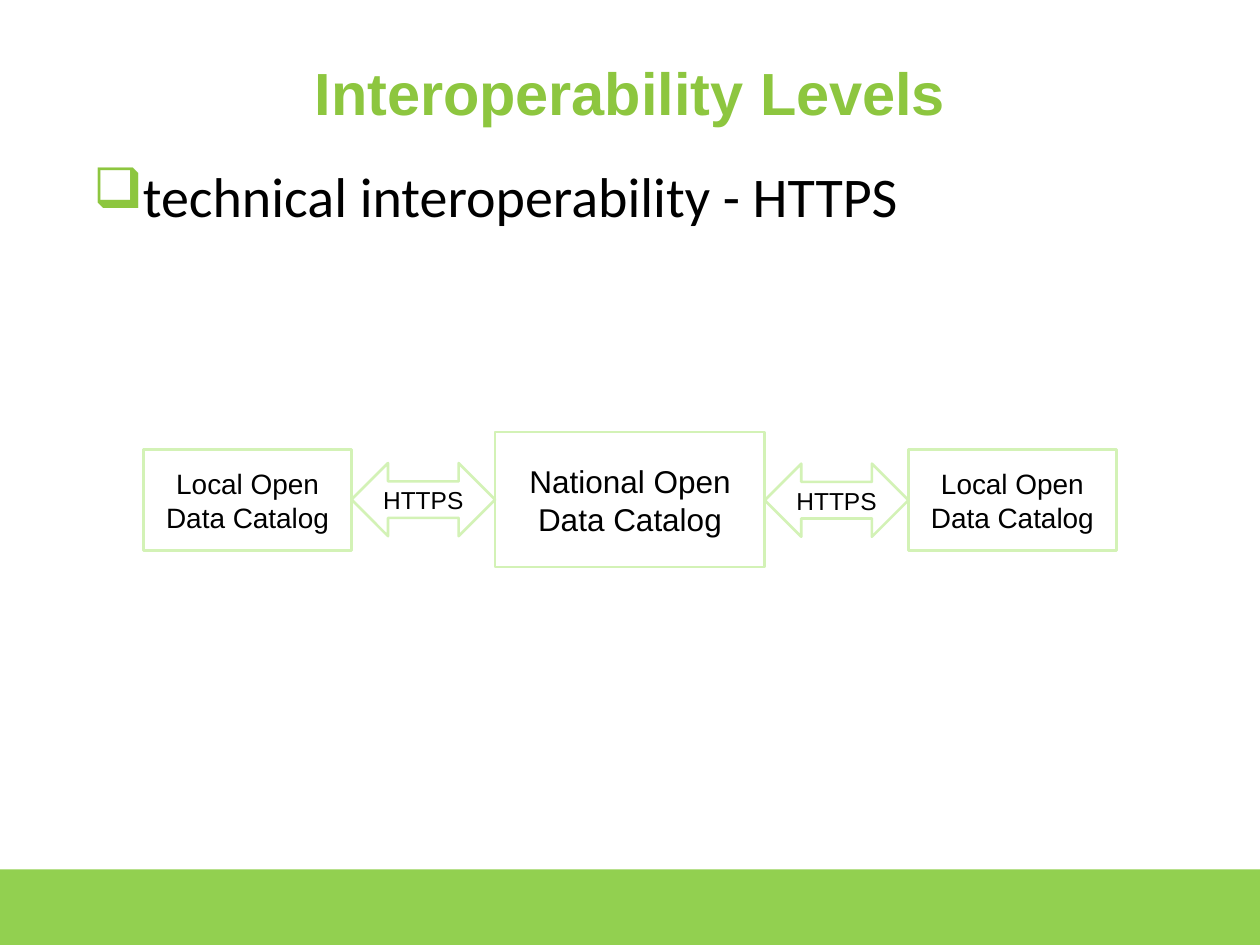
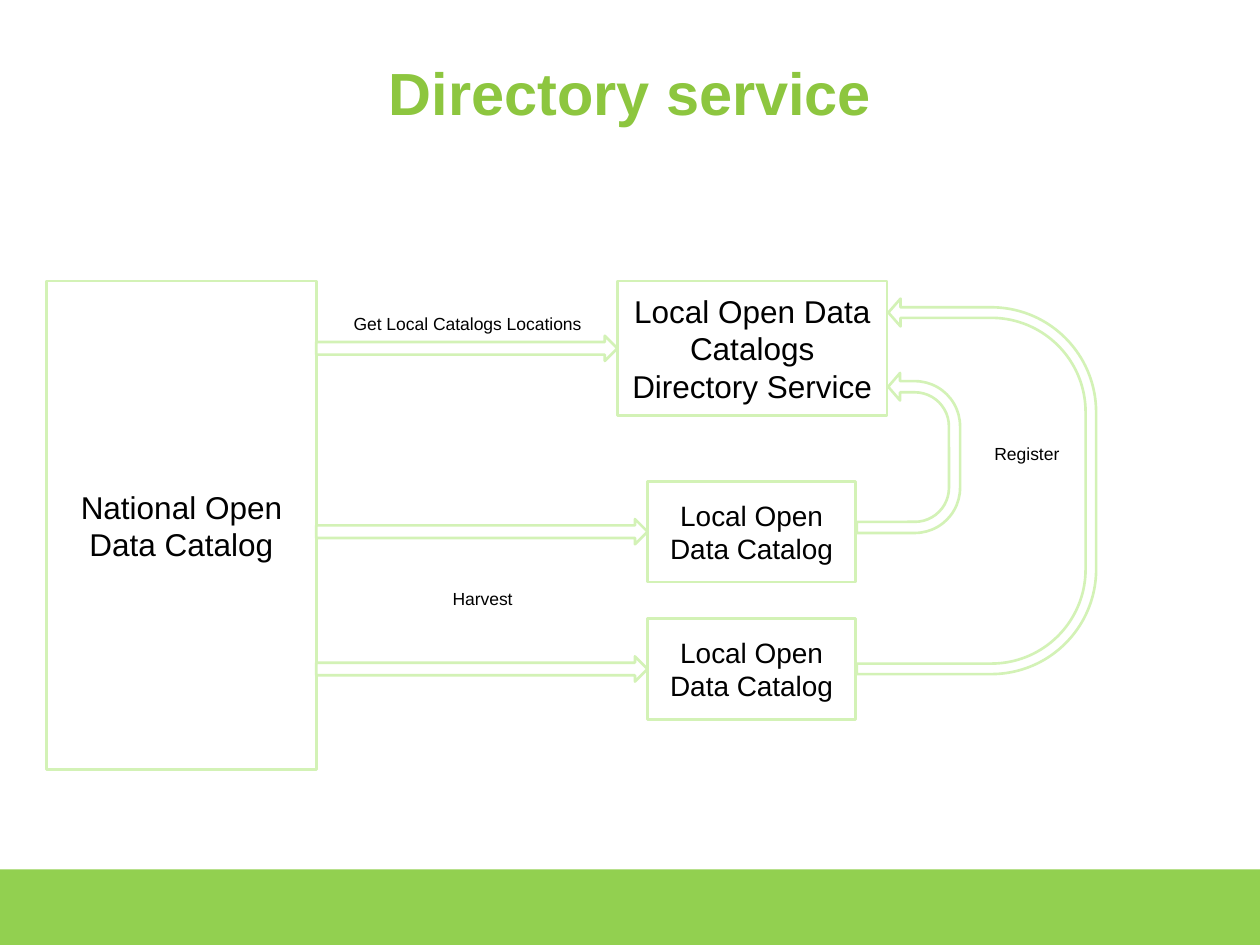
import pptx
import pptx.util
import pptx.dml.color
import pptx.enum.shapes
import pptx.enum.text
import pptx.oxml.ns
import lxml.etree

Pt = pptx.util.Pt
RGBColor = pptx.dml.color.RGBColor
Preset = pptx.enum.shapes.MSO_SHAPE
Align = pptx.enum.text.PP_ALIGN
Anchor = pptx.enum.text.MSO_ANCHOR

BAND_GREEN = RGBColor(0x92, 0xD0, 0x50)
TITLE_GREEN = RGBColor(0x8D, 0xC6, 0x3F)
OUTLINE_GREEN = RGBColor(0xD3, 0xF2, 0xB6)
WHITE = RGBColor(0xFF, 0xFF, 0xFF)
BLACK = RGBColor(0, 0, 0)

COLUMNS, ROWS = 100, 75
LOCAL = "Local Open\nData Catalog"
NATIONAL = "National Open Data Catalog"
MAIN_SIZE = (21.4, 10.7)
LOCAL_SIZE = (16.5, 8)


class Board:
    def __init__(self):
        self.deck = pptx.Presentation()
        self.deck.slide_width = pptx.util.Inches(10)
        self.deck.slide_height = pptx.util.Inches(7.5)
        self.column = self.deck.slide_width / COLUMNS
        self.row = self.deck.slide_height / ROWS
        self.page = None

    def place(self, left, top, width, height):
        return (round(left * self.column), round(top * self.row),
                round(width * self.column), round(height * self.row))

    def start_page(self, title):
        self.page = self.deck.slides.add_slide(self.deck.slide_layouts[6])
        self.shape(Preset.RECTANGLE, self.place(0, 69, COLUMNS, 6), BAND_GREEN, None)
        self.text_box(title, 5, 3, 90, 8.5, size=34, color=TITLE_GREEN, bold=True)

    def shape(self, preset, spot, fill=WHITE, line=OUTLINE_GREEN):
        shape = self.page.shapes.add_shape(preset, *spot)
        shape.shadow.inherit = False
        if fill is None:
            shape.fill.background()
        else:
            shape.fill.solid()
            shape.fill.fore_color.rgb = fill
        if line is None:
            shape.line.fill.background()
        else:
            shape.line.color.rgb = line
            shape.line.width = Pt(1.5)
        return shape

    def set_text(self, shape, text, size, color=BLACK, bold=False, font="Arial",
                 align=Align.CENTER, anchor=Anchor.MIDDLE, wrap=True):
        frame = shape.text_frame
        frame.text = text
        frame.word_wrap = wrap
        frame.vertical_anchor = anchor
        for para in frame.paragraphs:
            para.alignment = align
            for span in para.runs:
                span.font.name = font
                span.font.size = Pt(size)
                span.font.bold = bold
                span.font.color.rgb = color

    def text_box(self, text, left, top, width, height, **style):
        box = self.page.shapes.add_textbox(*self.place(left, top, width, height))
        self.set_text(box, text, **style)
        return box

    def bullet(self, text, left, top, width, height):
        box = self.text_box(text, left, top, width, height, size=32, font="Calibri",
                            align=Align.LEFT, anchor=Anchor.TOP)
        para = box.text_frame.paragraphs[0]
        para.space_before = Pt(6.4)
        qn = pptx.oxml.ns.qn
        properties = para._p.get_or_add_pPr()
        properties.set("marL", str(round(5 * self.column)))
        properties.set("indent", str(round(-3.6 * self.column)))
        color = lxml.etree.SubElement(properties, qn("a:buClr"))
        lxml.etree.SubElement(color, qn("a:srgbClr")).set("val", str(TITLE_GREEN))
        lxml.etree.SubElement(properties, qn("a:buChar")).set("char", "❑")

    def catalog(self, text, left, top, size, font_size):
        box = self.shape(Preset.RECTANGLE, self.place(left, top, *size), fill=None)
        self.set_text(box, text, font_size)
        return box

    def arrow(self, preset, source, target, rows, text=""):
        start = source.left + source.width
        height = round(rows * self.row)
        top = target.top + (target.height - height) // 2
        arrow = self.shape(preset, (start, top, target.left - start, height))
        if text:
            self.set_text(arrow, text, 14, wrap=False)

    def return_arrow(self, left, top, width, height, adjustments):
        spot = (left + (width - height) / 2, top + (height - width) / 2, height, width)
        arrow = self.shape(Preset.U_TURN_ARROW, self.place(*spot))
        arrow.rotation = 90
        arrow._element.spPr.find(pptx.oxml.ns.qn("a:xfrm")).set("flipH", "1")
        for index, value in enumerate(adjustments):
            arrow.adjustments[index] = value


def interoperability(board):
    board.start_page("Interoperability Levels")
    board.bullet("technical interoperability - HTTPS", 5, 12.3, 90, 54.7)
    national = board.catalog(NATIONAL, 39.3, 34.3, MAIN_SIZE, 18)
    left, right = [board.catalog(LOCAL, column, 35.7, LOCAL_SIZE, 16)
                   for column in (11.4, 72.1)]
    for source, target in ((left, national), (national, right)):
        board.arrow(Preset.LEFT_RIGHT_ARROW, source, target, 5.8, "HTTPS")


def directory_service(board):
    board.start_page("Directory service")
    national = board.catalog(NATIONAL, 3.7, 22.3, (21.4, 38.8), 18)
    directory = board.catalog("Local Open Data Catalogs Directory Service",
                              49, 22.3, MAIN_SIZE, 18)
    catalogs = [board.catalog(LOCAL, 51.4, row, LOCAL_SIZE, 16) for row in (38.2, 49.1)]
    for target in (directory, *catalogs):
        board.arrow(Preset.RIGHT_ARROW, national, target, 2)
    board.return_arrow(68, 29.6, 8.2, 12.7, (0.108, 0.133, 0.115, 0.438, 0.696))
    board.return_arrow(68, 23.7, 19, 29.8, (0.044, 0.058, 0.051, 0.438, 0.868))
    for text, left, top, width in (("Get Local Catalogs Locations", 26.4, 24.1, 21.4),
                                   ("Register", 77, 34.4, 9),
                                   ("Harvest", 27.6, 45.9, 21.4)):
        board.text_box(text, left, top, width, 3.2, size=10)


def main():
    board = Board()
    interoperability(board)
    directory_service(board)
    board.deck.save("out.pptx")


if __name__ == "__main__":
    main()
